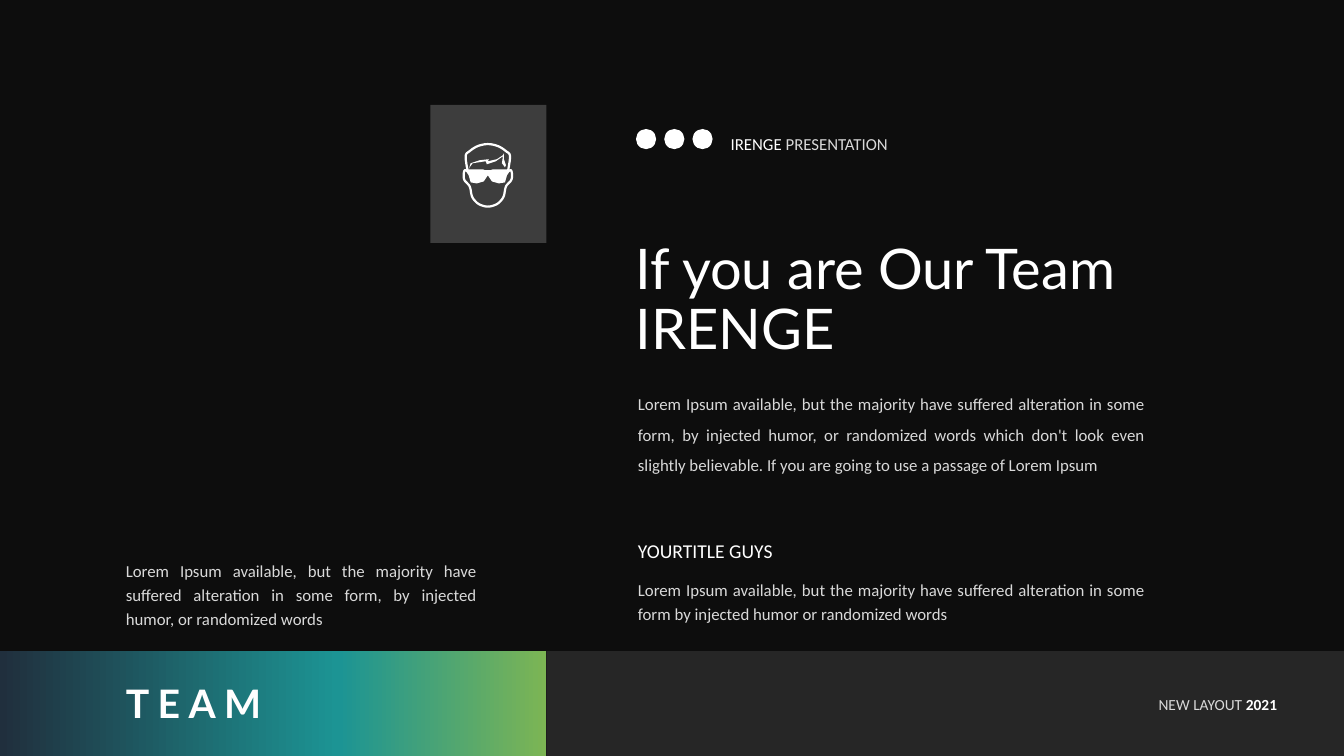
from copy import deepcopy

from lxml import etree
from pptx import Presentation
from pptx.dml.color import RGBColor
from pptx.enum.shapes import MSO_SHAPE as Shape
from pptx.enum.text import PP_ALIGN as Align
from pptx.oxml.ns import qn
from pptx.util import Inches, Pt

INK = RGBColor(0x0D, 0x0D, 0x0D)
CHARCOAL = RGBColor(0x26, 0x26, 0x26)
WHITE = RGBColor(0xFF, 0xFF, 0xFF)
SILVER = RGBColor(0xD9, 0xD9, 0xD9)
NAVY = RGBColor(0x20, 0x2F, 0x3D)
TEAL = RGBColor(0x1C, 0x94, 0x94)
GREEN = RGBColor(0x7C, 0xB5, 0x54)

# Content: (text, colour, bold) runs, box, font, size, alignment, line spacing
DEFAULT_INSETS = (0.1, 0.05, 0.1, 0.05)
BODY_INSETS = (0.1, 0.05, 0.16, 0.04)
LOREM = "Lorem Ipsum available, but the majority have suffered alteration in some form"
TEXTS = [
    ([("TEAM", WHITE, True)],
     (1.15, 6.69, 3.43, 0.57), "Lato", 28, Align.LEFT, 1.0, DEFAULT_INSETS),
    ([("If you are Our Team IRENGE", WHITE, False)],
     (6.21, 2.34, 5.53, 1.31), "Lato", 40, Align.LEFT, 0.9, DEFAULT_INSETS),
    ([(LOREM + ", by injected humor, or randomized words which don't look even slightly "
       "believable. If you are going to use a passage of Lorem Ipsum", SILVER, False)],
     (6.23, 3.76, 5.29, 0.97), "Calibri", 12, Align.JUSTIFY, 1.5, BODY_INSETS),
    ([("IRENGE", WHITE, False), (" PRESENTATION", SILVER, False)],
     (7.15, 1.18, 2.09, 0.39), "Calibri", 12, Align.JUSTIFY, 1.5, BODY_INSETS),
    ([("YOURTITLE GUYS", WHITE, False)],
     (6.23, 5.3, 3.01, 0.34), "Calibri", 14, Align.LEFT, 1.0, DEFAULT_INSETS),
    ([(LOREM + " by injected humor or randomized words", SILVER, False)],
     (6.23, 5.66, 5.29, 0.57), "Calibri", 12, Align.JUSTIFY, 1.2, BODY_INSETS),
    ([(LOREM + ", by injected humor, or randomized words", SILVER, False)],
     (1.15, 5.47, 3.74, 0.82), "Calibri", 12, Align.JUSTIFY, 1.2, BODY_INSETS),
    ([("NEW LAYOUT ", SILVER, False), ("2021", WHITE, True)],
     (11.08, 6.85, 1.75, 0.28), "Calibri", 11, Align.RIGHT, 1.0, BODY_INSETS),
]
TEAM_SPACING = 600  # hundredths of a point

SLIDE_WIDTH, SLIDE_HEIGHT = 40 / 3, 7.5
GRADIENT = [(0, NAVY), (0.62, TEAL), (1, GREEN)]
BAND_TOP, BAND_HEIGHT, BAND_SPLIT = 6.46, 1.04, 5.42
SOCIAL_DOTS = 3
DOT_LEFT, DOT_TOP, DOT_SIZE, DOT_STEP = 6.31, 1.28, 0.2, 0.28

# Avatar icon: left halves, mirrored about the middle of the face
FACE_MIDDLE = 4.84
HAIR = [(4.64, 1.7), (4.62, 1.55), (4.66, 1.5), (4.74, 1.45), (4.84, 1.43)]
JAW = [(4.64, 1.7), (4.61, 1.69), (4.6, 1.74), (4.61, 1.79), (4.66, 1.85),
       (4.68, 1.94), (4.71, 1.99), (4.76, 2.03), (4.84, 2.05)]
GLASSES = [(4.84, 1.7), (4.79, 1.68), (4.63, 1.68), (4.63, 1.71), (4.65, 1.74),
           (4.67, 1.81), (4.73, 1.82), (4.8, 1.8), (4.84, 1.74)]
FRINGE = [(4.65, 1.68), (4.67, 1.62), (4.76, 1.59), (4.85, 1.58), (4.84, 1.6),
          (4.93, 1.58), (4.99, 1.54), (5, 1.52), (5, 1.58), (5.02, 1.64),
          (5.01, 1.66), (4.98, 1.62), (4.99, 1.55), (4.92, 1.6), (4.83, 1.63),
          (4.82, 1.6), (4.69, 1.62), (4.66, 1.66)]

prs = Presentation()
prs.slide_width, prs.slide_height = Inches(SLIDE_WIDTH), Inches(SLIDE_HEIGHT)
slide = prs.slides.add_slide(prs.slide_layouts[6])
slide.background.fill.solid()
slide.background.fill.fore_color.rgb = INK


def paint(shape, colour):
    shape.shadow.inherit = False
    shape.line.fill.background()
    shape.fill.solid()
    shape.fill.fore_color.rgb = colour
    return shape


def add_block(kind, box, colour):
    return paint(slide.shapes.add_shape(kind, *map(Inches, box)), colour)


def mirrored(half):
    return half + [(2 * FACE_MIDDLE - x, y) for x, y in reversed(half[:-1])]


def smoothed(points, steps=6):
    """Sample a Catmull-Rom curve through the points."""
    ends = [points[0], *points, points[-1]]
    curve = [points[0]]
    for a, b, c, d in zip(ends, ends[1:], ends[2:], ends[3:]):
        for step in range(1, steps + 1):
            t = step / steps
            curve.append(tuple(
                0.5 * (2 * q + (r - p) * t + (2 * p - 5 * q + 4 * r - s) * t ** 2
                       + (3 * q - p - 3 * r + s) * t ** 3)
                for p, q, r, s in zip(a, b, c, d)))
    return curve


def add_outline(points):
    start, *rest = [(Inches(x), Inches(y)) for x, y in points]
    builder = slide.shapes.build_freeform(*start)
    builder.add_line_segments(rest, close=True)
    return paint(builder.convert_to_shape(), WHITE)


def add_text(runs, box, font, size, align, spacing, insets):
    frame = slide.shapes.add_textbox(*map(Inches, box)).text_frame
    frame.word_wrap = True
    (frame.margin_left, frame.margin_top,
     frame.margin_right, frame.margin_bottom) = map(Inches, insets)
    paragraph = frame.paragraphs[0]
    paragraph.alignment, paragraph.line_spacing = align, spacing
    for words, colour, bold in runs:
        run = paragraph.add_run()
        run.text = words
        run.font.name, run.font.size, run.font.bold = font, Pt(size), bold
        run.font.color.rgb = colour
    return paragraph


# Bottom band
team_band = add_block(Shape.RECTANGLE, (0, BAND_TOP, BAND_SPLIT, BAND_HEIGHT), NAVY)
team_band.fill.gradient()
team_band.fill.gradient_angle = 0
stop_list = team_band._element.spPr.find(".//" + qn("a:gsLst"))
stop_list.append(deepcopy(stop_list[-1]))
for stop, (position, colour) in zip(team_band.fill.gradient_stops, GRADIENT):
    stop.position, stop.color.rgb = position, colour
add_block(Shape.RECTANGLE,
          (BAND_SPLIT, BAND_TOP, SLIDE_WIDTH - BAND_SPLIT, BAND_HEIGHT), CHARCOAL)

# Avatar tile, 20% white
tile = add_block(Shape.RECTANGLE, (4.27, 1.04, 1.15, 1.37), WHITE)
tile_colour = tile._element.spPr.find(qn("a:solidFill"))[0]
etree.SubElement(tile_colour, qn("a:alpha"), val="20000")

# Avatar icon
for half in (HAIR, JAW):
    contour = add_outline(smoothed(mirrored(half)))
    contour.fill.background()
    contour.line.color.rgb, contour.line.width = WHITE, Pt(1.6)
add_outline(mirrored(GLASSES))
add_outline(FRINGE)

# Social dots
for index in range(SOCIAL_DOTS):
    add_block(Shape.OVAL, (DOT_LEFT + index * DOT_STEP, DOT_TOP, DOT_SIZE, DOT_SIZE), WHITE)

# Texts
team, *others = [add_text(*text) for text in TEXTS]
team.runs[0].font._element.set("spc", str(TEAM_SPACING))

prs.save("out.pptx")
